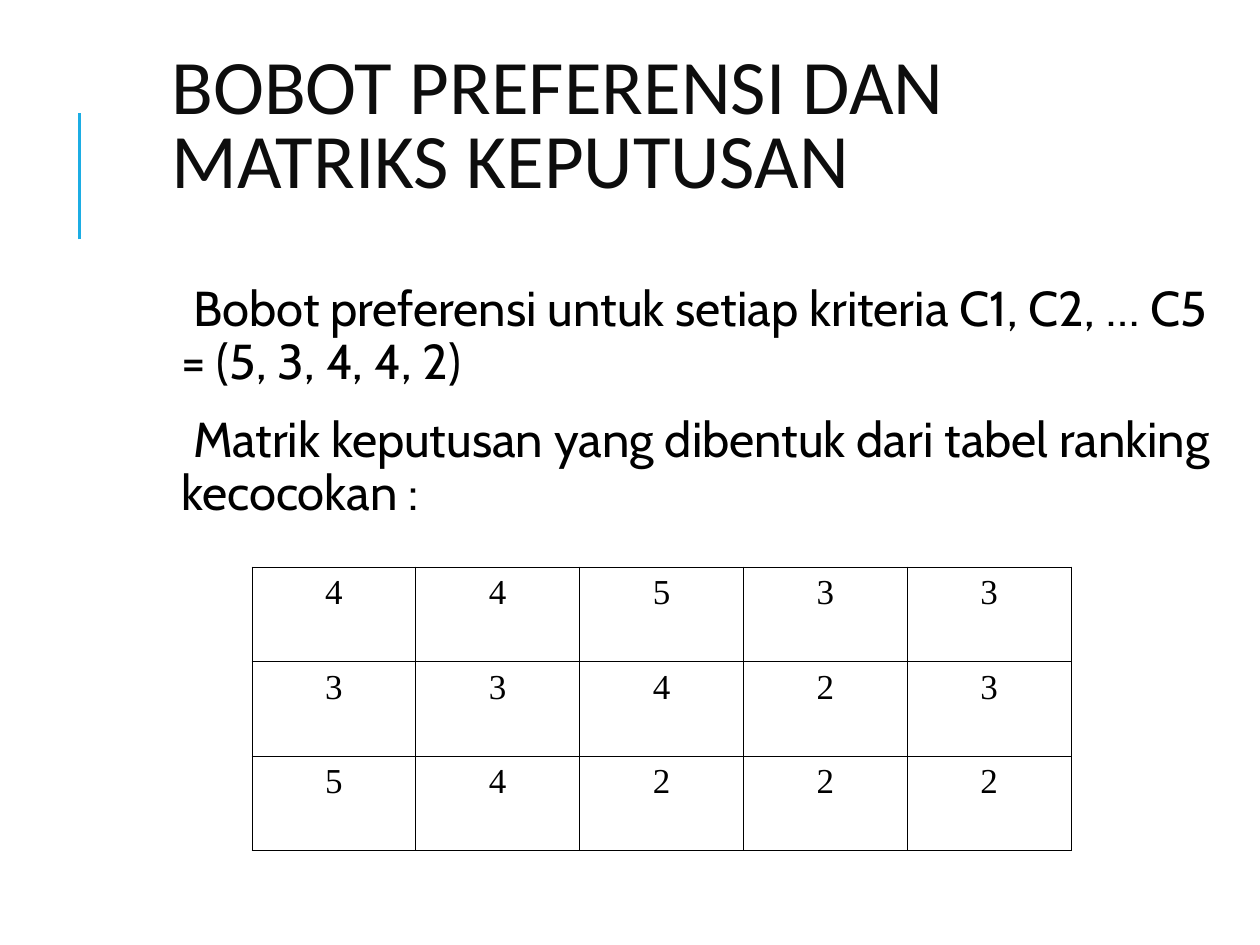
"""Build the slide on preference weights and the decision matrix."""
from dataclasses import dataclass

from lxml.etree import SubElement
from pptx import Presentation
from pptx.dml.color import RGBColor
from pptx.enum.shapes import MSO_CONNECTOR
from pptx.enum.text import MSO_ANCHOR, MSO_AUTO_SIZE, PP_ALIGN
from pptx.oxml.ns import qn
from pptx.util import Inches, Pt

HUES = {"rule": "1CADE4", "title": "0D0D0D", "text": "000000"}


@dataclass(frozen=True)
class Style:
    font: str
    size: int
    hue: str
    align: PP_ALIGN = PP_ALIGN.LEFT
    lead: float = 1.0


HEAD = Style("Calibri", 44, "title", lead=0.8)
BODY = Style("Cabin", 28, "text", lead=0.9)
CELL = Style("Times New Roman", 20, "text", PP_ALIGN.CENTER)

TITLE = "BOBOT PREFERENSI DAN \vMATRIKS KEPUTUSAN"
LINES = (
    "Bobot preferensi untuk setiap kriteria C1, C2, … C5 = (5, 3, 4, 4, 2)",
    "Matrik keputusan yang dibentuk dari tabel ranking kecocokan :",
)
MATRIX = ((4, 4, 5, 3, 3), (3, 3, 4, 2, 3), (5, 4, 2, 2, 2))


def color(hue: str) -> RGBColor:
    return RGBColor.from_string(HUES[hue])


def format_text(frame, style: Style) -> None:
    for para in frame.paragraphs:
        para.alignment = style.align
        para.line_spacing = style.lead
        for run in para.runs:
            run.font.name = style.font
            run.font.size = Pt(style.size)
            run.font.color.rgb = color(style.hue)


def place(shape, left: float, top: float, width: float, height: float) -> None:
    shape.left, shape.top = Inches(left), Inches(top)
    shape.width, shape.height = Inches(width), Inches(height)


def draw_rule(slide) -> None:
    x = Inches(0.63)
    rule = slide.shapes.add_connector(
        MSO_CONNECTOR.STRAIGHT, x, Inches(1.9), x, Inches(0.9))
    rule.line.color.rgb = color("rule")
    rule.line.width = Pt(1.5)
    SubElement(rule._element.spPr, qn("a:effectLst"))


def draw_title(slide) -> None:
    title = slide.shapes.title
    place(title, 1.26, 0.23, 8.52, 1.6)
    frame = title.text_frame
    frame.text = TITLE
    frame.auto_size = MSO_AUTO_SIZE.NONE
    frame.vertical_anchor = MSO_ANCHOR.MIDDLE
    format_text(frame, HEAD)


def draw_body(slide) -> None:
    box = slide.shapes.add_textbox(
        Inches(1.29), Inches(2.21), Inches(8.37), Inches(4.5))
    frame = box.text_frame
    frame.word_wrap = True
    frame.margin_left = frame.margin_right = Inches(0.05)
    frame.text = "\n".join(LINES)
    format_text(frame, BODY)
    for para in frame.paragraphs:
        para.space_before, para.space_after = Pt(12), Pt(2)
        props = para._p.get_or_add_pPr()
        props.set("marL", str(Inches(0.1)))
        props.set("indent", str(-Inches(0.1)))
        SubElement(props, qn("a:buChar"), char=" ")


def add_borders(cell) -> None:
    props = cell._tc.get_or_add_tcPr()
    for side in ("lnL", "lnR", "lnT", "lnB"):
        line = SubElement(props, qn(f"a:{side}"), w=str(Pt(0.45)))
        fill = SubElement(line, qn("a:solidFill"))
        SubElement(fill, qn("a:srgbClr"), val=HUES["text"])


def draw_matrix(slide) -> None:
    table = slide.shapes.add_table(
        len(MATRIX), len(MATRIX[0]),
        Inches(2), Inches(4.5), Inches(6.5), Inches(2.25)).table
    table.first_row = table.horz_banding = False
    for i, row in enumerate(MATRIX):
        for j, value in enumerate(row):
            cell = table.cell(i, j)
            cell.text_frame.text = str(value)
            format_text(cell.text_frame, CELL)
            add_borders(cell)
            cell.fill.background()


def main() -> None:
    deck = Presentation()
    deck.slide_width, deck.slide_height = Inches(10), Inches(7.5)
    slide = deck.slides.add_slide(deck.slide_layouts[5])
    draw_rule(slide)
    draw_title(slide)
    draw_body(slide)
    draw_matrix(slide)
    deck.save("out.pptx")


if __name__ == "__main__":
    main()
